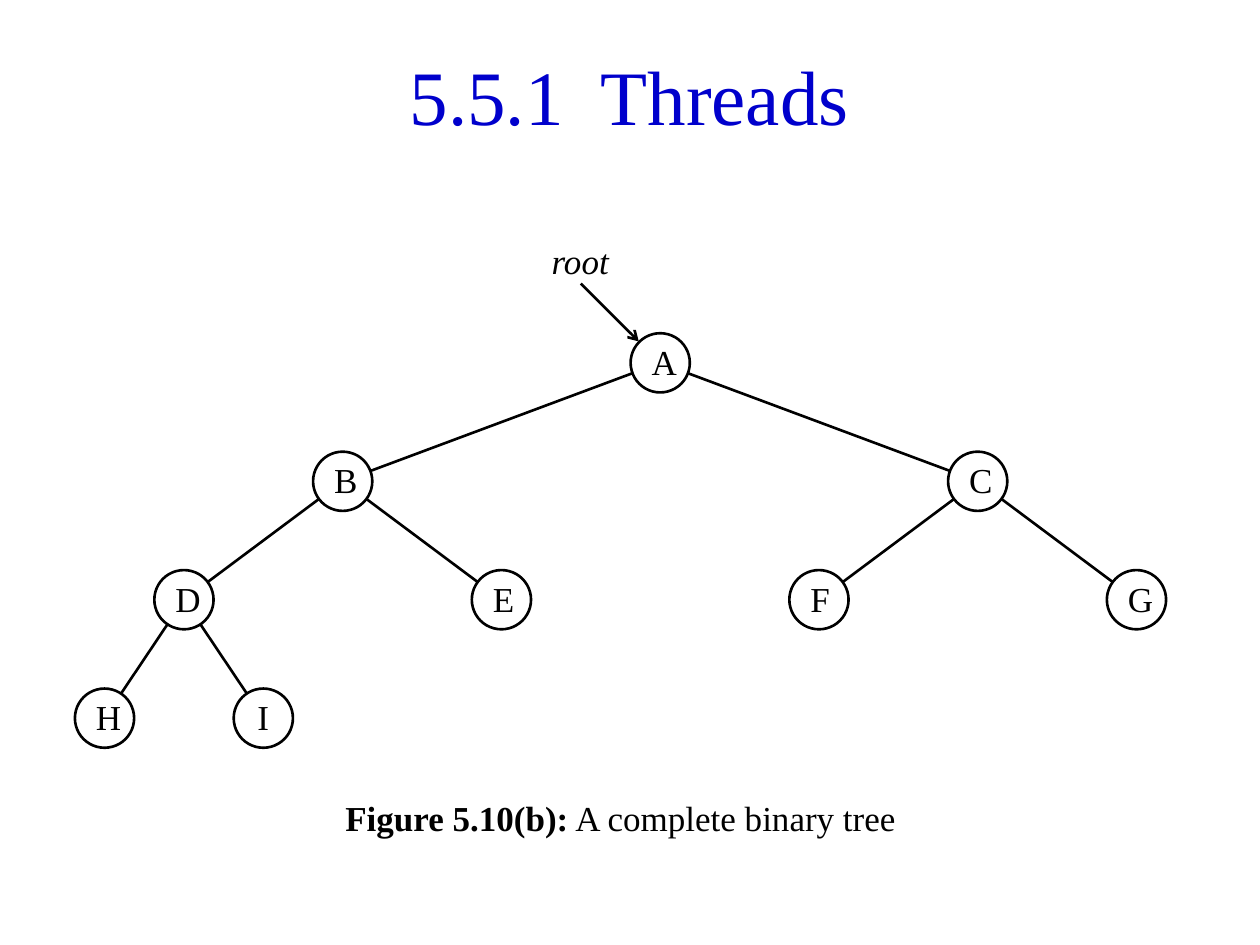
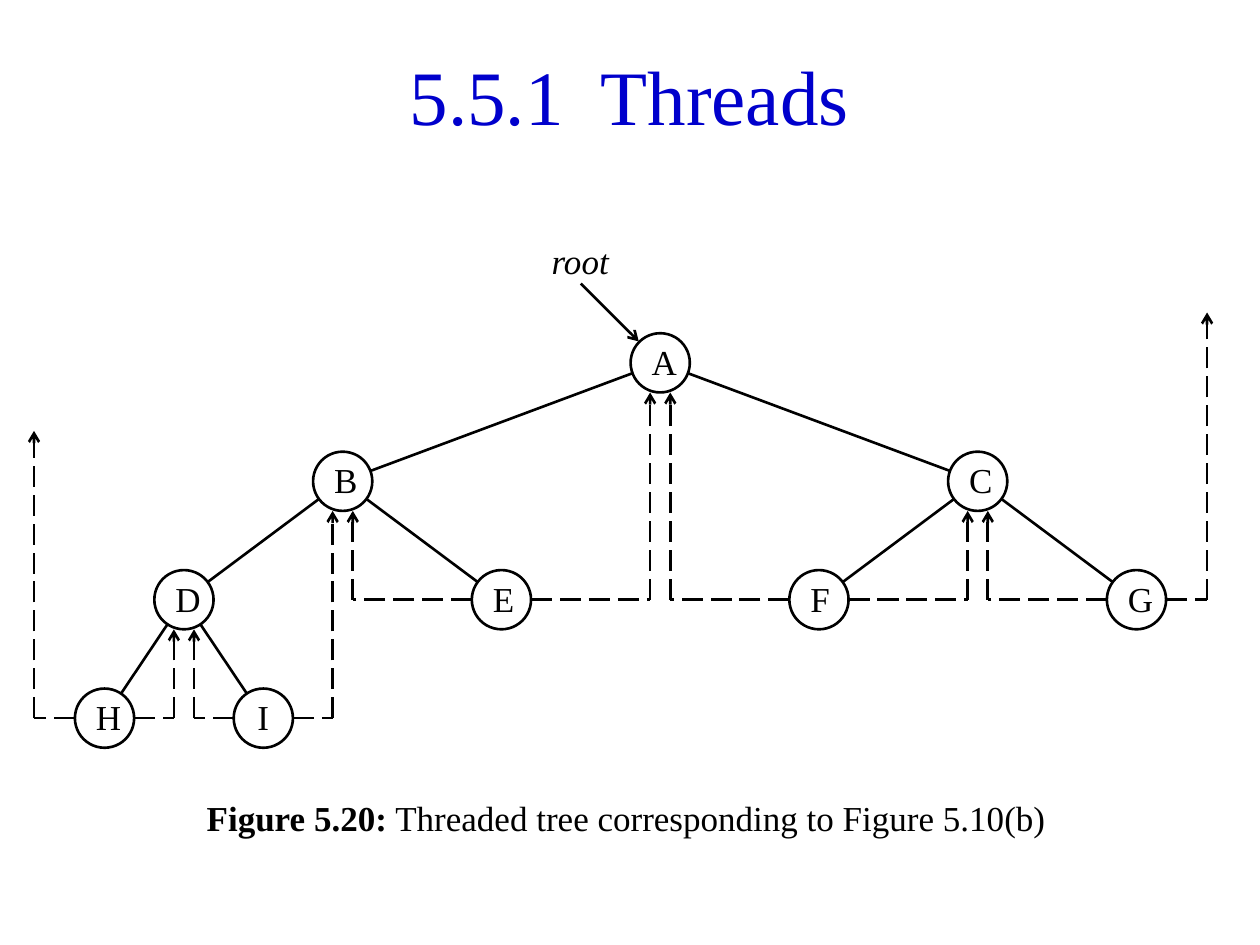
from lxml.etree import SubElement
from pptx import Presentation
from pptx.dml.color import RGBColor
from pptx.enum.dml import MSO_LINE
from pptx.enum.shapes import MSO_CONNECTOR, MSO_SHAPE
from pptx.enum.text import MSO_ANCHOR, MSO_AUTO_SIZE, PP_ALIGN
from pptx.oxml.ns import qn
from pptx.util import Inches, Pt

# Colours, font and sizes shared by both slides
THEME = {
    "font": "Times New Roman",
    "ink": RGBColor(0, 0, 0),
    "paper": RGBColor(255, 255, 255),
    "title": RGBColor(0, 0, 204),
    "title_size": Pt(44),
    "text_size": Pt(20),
    "line_width": Pt(1.5),
}

# Tree grid: each node has a column and a level (inches)
LEFT, TOP, COLUMN, LEVEL = 0.83, 2.88, 0.63, 0.94
DIAMETER = 0.47
RADIUS = DIAMETER / 2
GRID = {"A": (7, 0), "B": (3, 1), "C": (11, 1), "D": (1, 2), "E": (5, 2),
        "F": (9, 2), "G": (13, 2), "H": (0, 3), "I": (2, 3)}
CENTRES = {name: (LEFT + column * COLUMN, TOP + level * LEVEL)
           for name, (column, level) in GRID.items()}
EDGES = ["AB", "AC", "BD", "BE", "CF", "CG", "DH", "DI"]

# Threads: node, side it leaves (-1 left, 1 right), node it points to
THREADS = [("H", -1, None), ("H", 1, "D"), ("I", -1, "D"), ("I", 1, "B"),
           ("E", -1, "B"), ("E", 1, "A"), ("F", -1, "A"), ("F", 1, "C"),
           ("G", -1, "C"), ("G", 1, None)]
THREAD_GAP = 0.08
LOOSE_REACH, LOOSE_RISE = 0.56, 2.28

# Heading of the caption, rest of the caption, left, width, threads shown
FIGURES = [
    ("Figure 5.10(b):", " A complete binary tree", 2.64, 4.72, []),
    ("Figure 5.20:", " Threaded tree corresponding to Figure 5.10(b)",
     1.54, 6.93, THREADS),
]


def add_text(paragraph, text, **changes):
    """Add a run in the theme's text style, with any changes given."""
    run = paragraph.add_run()
    run.text = text
    color = changes.pop("color", THEME["ink"])
    style = {"name": THEME["font"], "size": THEME["text_size"],
             "bold": False, "italic": False, **changes}
    for attribute, value in style.items():
        setattr(run.font, attribute, value)
    run.font.color.rgb = color


def add_line(slide, start, end, dashed=False, arrow=False):
    """Draw a straight line between two points in inches."""
    points = [Inches(value) for value in (*start, *end)]
    connector = slide.shapes.add_connector(MSO_CONNECTOR.STRAIGHT, *points)
    connector.line.color.rgb = THEME["ink"]
    connector.line.width = THEME["line_width"]
    if dashed:
        connector.line.dash_style = MSO_LINE.LONG_DASH
    properties = connector._element.spPr
    if arrow:
        SubElement(properties.find(qn("a:ln")), qn("a:tailEnd"), type="arrow")
    SubElement(properties, qn("a:effectLst"))


presentation = Presentation()
presentation.slide_width = Inches(10)
presentation.slide_height = Inches(7.5)

for heading, caption, caption_left, caption_width, threads in FIGURES:
    slide = presentation.slides.add_slide(presentation.slide_layouts[1])
    title, body = slide.shapes.title, slide.placeholders[1]

    # Title and caption
    boxes = [(title, 0.27, 0.28, 9.45, 0.94, MSO_ANCHOR.MIDDLE),
             (body, caption_left, 6.27, caption_width, 0.47, MSO_ANCHOR.TOP)]
    for shape, left, top, width, height, anchor in boxes:
        place = {"left": left, "top": top, "width": width, "height": height}
        for attribute, value in place.items():
            setattr(shape, attribute, Inches(value))
        shape.text_frame.auto_size = MSO_AUTO_SIZE.NONE
        shape.text_frame.vertical_anchor = anchor
    paragraph = title.text_frame.paragraphs[0]
    paragraph.alignment = PP_ALIGN.CENTER
    add_text(paragraph, "5.5.1  Threads", size=THEME["title_size"],
             color=THEME["title"])
    paragraph = body.text_frame.paragraphs[0]
    paragraph.space_before = Pt(4)
    properties = paragraph._p.get_or_add_pPr()
    properties.set("marL", "0")
    properties.set("indent", "0")
    SubElement(properties, qn("a:buNone"))
    add_text(paragraph, heading, bold=True)
    add_text(paragraph, caption)

    # Tree edges, behind the nodes
    for parent, child in EDGES:
        add_line(slide, CENTRES[parent], CENTRES[child])

    # Threads: out to the side, then up to an ancestor or into the open
    for name, side, target in threads:
        x, y = CENTRES[name]
        if target:
            target_x, target_y = CENTRES[target]
            corner_x, tip_y = target_x - side * THREAD_GAP, target_y + RADIUS
        else:
            corner_x, tip_y = x + side * LOOSE_REACH, y - LOOSE_RISE
        add_line(slide, (x + side * RADIUS, y), (corner_x, y), dashed=True)
        add_line(slide, (corner_x, y), (corner_x, tip_y),
                 dashed=True, arrow=True)

    # Nodes
    for name, (x, y) in CENTRES.items():
        node = slide.shapes.add_shape(
            MSO_SHAPE.OVAL, Inches(x - RADIUS), Inches(y - RADIUS),
            Inches(DIAMETER), Inches(DIAMETER))
        node.shadow.inherit = False
        node.fill.solid()
        node.fill.fore_color.rgb = THEME["paper"]
        node.line.color.rgb = THEME["ink"]
        node.line.width = THEME["line_width"]
        frame_format = {"margin_left": Inches(0.1), "margin_right": Inches(0.1),
                        "margin_top": 0, "margin_bottom": Inches(0.01),
                        "vertical_anchor": MSO_ANCHOR.BOTTOM,
                        "word_wrap": True}
        for attribute, value in frame_format.items():
            setattr(node.text_frame, attribute, value)
        paragraph = node.text_frame.paragraphs[0]
        paragraph.alignment = PP_ALIGN.CENTER
        add_text(paragraph, name)

    # Root pointer
    label = slide.shapes.add_textbox(Inches(4.21), Inches(1.85),
                                     Inches(0.79), Inches(0.47))
    label.text_frame.word_wrap = False
    paragraph = label.text_frame.paragraphs[0]
    paragraph.alignment = PP_ALIGN.CENTER
    add_text(paragraph, "root", italic=True)
    add_line(slide, (4.61, 2.25), (5.07, 2.71), arrow=True)

presentation.save("out.pptx")
